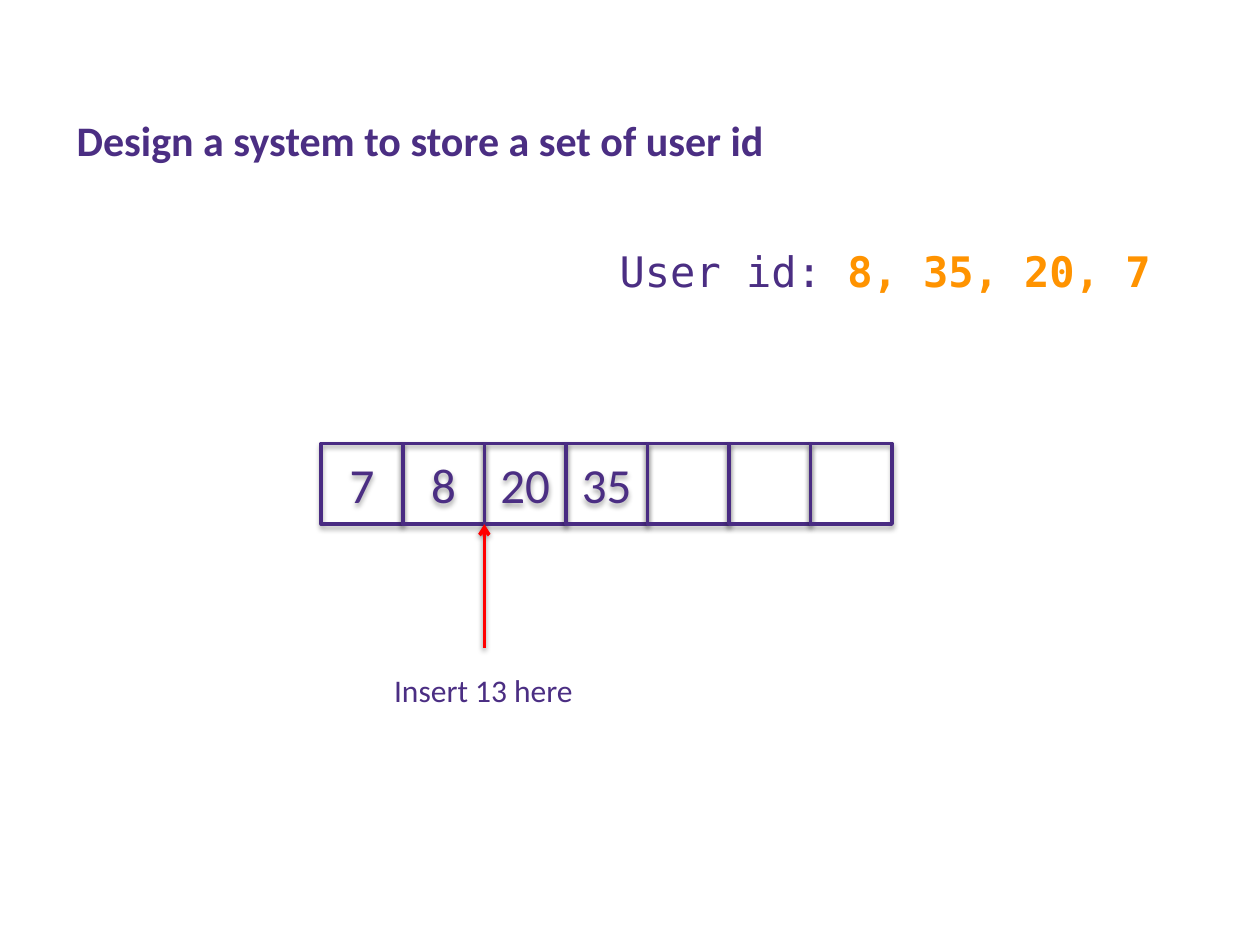
from dataclasses import dataclass

from lxml import etree
from pptx import Presentation, util as u
from pptx.dml.color import RGBColor
from pptx.enum import shapes, text
from pptx.oxml import ns

PURPLE, OUTLINE, ORANGE, RED = "4B2E83", "492B82", "FF9300", "FF0000"
SANS, MONO = "Calibri", "DejaVu Sans Mono"


@dataclass
class Run:
    text: str
    size: int
    font: str = SANS
    color: str = PURPLE
    bold: bool = False


@dataclass
class Label:
    left: float
    top: float
    width: float
    height: float
    runs: list[Run]


LABELS = [
    Label(0.51, 0.86, 5.71, 0.5, [Run("Design a system to store a set of user id", 24, bold=True)]),
    Label(3.03, 5.28, 1.64, 0.4, [Run("Insert 13 here", 18)]),
    Label(4.82, 1.9, 4.44, 0.5, [Run("User id: ", 24, MONO),
                                 Run("8, 35, 20, 7", 24, MONO, ORANGE, True)]),
]

# The array of sorted ids, with free cells at its end
VALUES = ["7", "8", "20", "35", "", "", ""]
ARRAY_LEFT, ARRAY_TOP, ARRAY_WIDTH, CELL_HEIGHT = 2.55, 3.52, 4.53, 0.64
CELL_WIDTH = ARRAY_WIDTH / len(VALUES)
INSERT_INDEX = 2
ARROW_LENGTH = 0.98


def rgb(color: str) -> RGBColor:
    return RGBColor.from_string(color)


def add_run(paragraph, item: Run) -> None:
    run = paragraph.add_run()
    run.text = item.text
    run.font.color.rgb = rgb(item.color)
    formats = {"size": u.Pt(item.size), "name": item.font, "bold": item.bold}
    for name, value in formats.items():
        setattr(run.font, name, value)


def add_label(slide, label: Label) -> None:
    box = slide.shapes.add_textbox(u.Inches(label.left), u.Inches(label.top),
                                   u.Inches(label.width), u.Inches(label.height))
    box.text_frame.word_wrap = False
    box.text_frame.auto_size = text.MSO_AUTO_SIZE.SHAPE_TO_FIT_TEXT
    for item in label.runs:
        add_run(box.text_frame.paragraphs[0], item)


def style_line(shape, color: str, opacity: int, distance: float) -> None:
    """Set a 2 pt line and a soft shadow that falls straight down."""
    shape.line.color.rgb = rgb(color)
    shape.line.width = u.Pt(2)
    effects = etree.SubElement(shape._element.spPr, ns.qn("a:effectLst"))
    shadow = etree.SubElement(effects, ns.qn("a:outerShdw"), blurRad=str(u.Pt(3.1)),
                              dist=str(u.Pt(distance)), dir=str(90 * 60000), rotWithShape="0")
    shade = etree.SubElement(shadow, ns.qn("a:srgbClr"), val="000000")
    etree.SubElement(shade, ns.qn("a:alpha"), val=str(opacity * 1000))


def add_cell(slide, index: int, value: str) -> None:
    cell = slide.shapes.add_shape(shapes.MSO_SHAPE.RECTANGLE,
                                  u.Inches(ARRAY_LEFT + index * CELL_WIDTH), u.Inches(ARRAY_TOP),
                                  u.Inches(CELL_WIDTH), u.Inches(CELL_HEIGHT))
    cell.fill.background()
    style_line(cell, OUTLINE, 35, 1.8)
    if value:
        cell.text_frame.vertical_anchor = text.MSO_ANCHOR.MIDDLE
        paragraph = cell.text_frame.paragraphs[0]
        paragraph.alignment = text.PP_ALIGN.CENTER
        add_run(paragraph, Run(value, 28))


def add_insert_arrow(slide) -> None:
    x = u.Inches(ARRAY_LEFT + INSERT_INDEX * CELL_WIDTH)
    tip = ARRAY_TOP + CELL_HEIGHT
    arrow = slide.shapes.add_connector(shapes.MSO_CONNECTOR.STRAIGHT,
                                       x, u.Inches(tip + ARROW_LENGTH), x, u.Inches(tip))
    style_line(arrow, RED, 38, 1.6)
    etree.SubElement(arrow.line._get_or_add_ln(), ns.qn("a:tailEnd"), type="arrow")


def main() -> None:
    presentation = Presentation()
    presentation.slide_width, presentation.slide_height = u.Inches(10), u.Inches(7.5)
    slide = presentation.slides.add_slide(presentation.slide_layouts[6])

    # Title
    title, *captions = LABELS
    add_label(slide, title)

    # Array and insertion point
    for index, value in enumerate(VALUES):
        add_cell(slide, index, value)
    add_insert_arrow(slide)

    # Captions
    for caption in captions:
        add_label(slide, caption)

    presentation.save("out.pptx")


if __name__ == "__main__":
    main()
